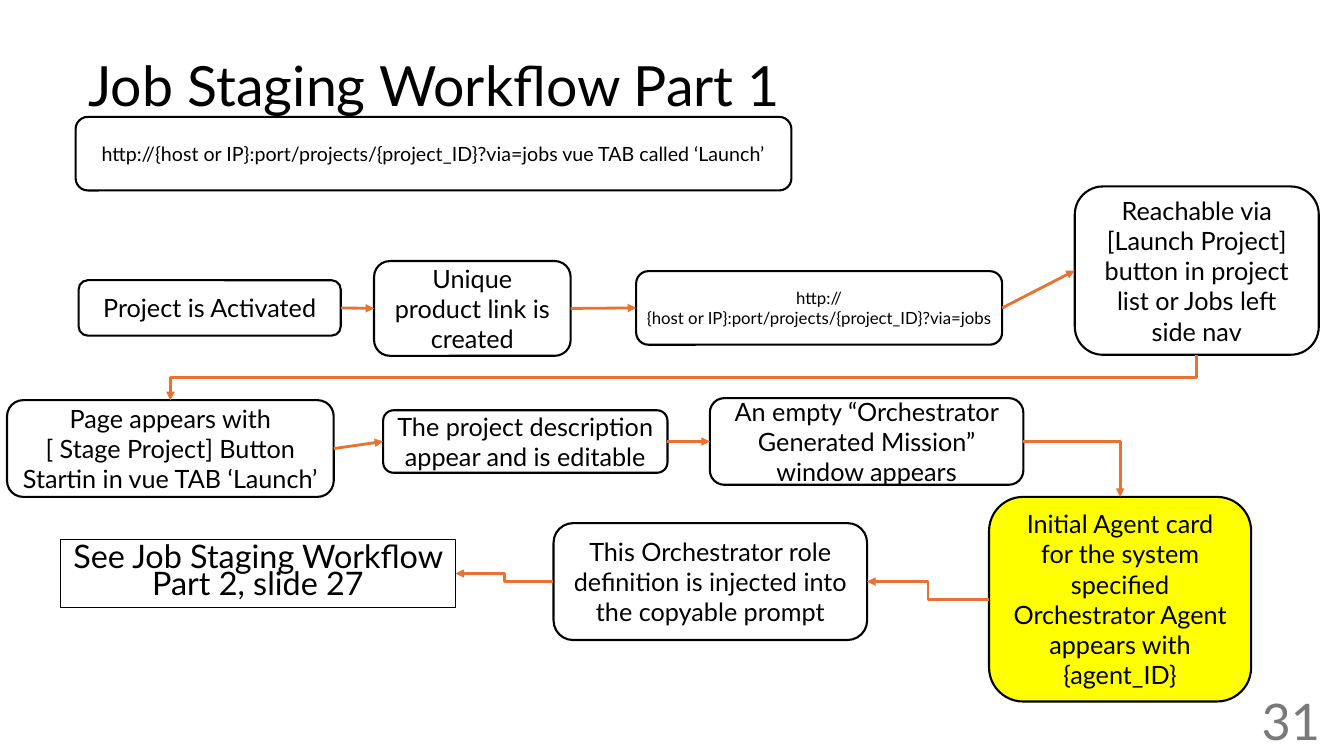
from lxml import etree
from pptx import Presentation
from pptx.dml.color import RGBColor
from pptx.enum.shapes import MSO_CONNECTOR as Link, MSO_SHAPE as Form
from pptx.enum.text import MSO_ANCHOR as Anchor, PP_ALIGN as Align
from pptx.oxml.ns import qn
from pptx.util import Inches, Pt

BLACK = RGBColor(0x00, 0x00, 0x00)
WHITE = RGBColor(0xFF, 0xFF, 0xFF)
YELLOW = RGBColor(0xFF, 0xFF, 0x00)
ORANGE = RGBColor(0xE9, 0x71, 0x32)
GREY = RGBColor(0x79, 0x79, 0x79)

deck = Presentation()
deck.slide_width, deck.slide_height = Inches(13.33), Inches(7.5)
slide = deck.slides.add_slide(deck.slide_layouts[6])
shapes = slide.shapes


def write(shape, text, size, color=BLACK, align=Align.CENTER, space=None):
    frame = shape.text_frame
    frame.text = text
    frame.word_wrap = True
    frame.vertical_anchor = Anchor.MIDDLE
    for para in frame.paragraphs:
        para.alignment = align
        para.line_spacing = space
        for run in para.runs:
            run.font.name = "Lato"
            run.font.size = Pt(size)
            run.font.color.rgb = color


def join(kind, start, side, end, goal):
    line = shapes.add_connector(kind, 0, 0, 0, 0)
    line.begin_connect(start, side)
    line.end_connect(end, goal)
    line.line.color.rgb = ORANGE
    line.line.width = Pt(2)
    stroke = line.line._get_or_add_ln()
    etree.SubElement(stroke, qn("a:tailEnd"), type="triangle")
    etree.SubElement(line._element.spPr, qn("a:effectLst"))
    return line


title = shapes.add_textbox(Inches(0.78), Inches(0.54), Inches(11.5), Inches(0.68))
write(title, "Job Staging Workflow Part 1", 39.6, align=Align.LEFT, space=0.9)

steps = [
    ("active", 0.78, 2.78, 2.6, 0.55, 18, "Project is Activated"),
    ("link", 3.71, 2.59, 1.95, 0.94, 18, "Unique product link is created"),
    ("jobs", 6.31, 2.69, 3.63, 0.73, 12,
     "http://\n{host or IP}:port/projects/{project_ID}?via=jobs"),
    ("reach", 10.66, 1.85, 2.42, 1.67, 18,
     "Reachable via [Launch Project] button in project list or Jobs left side nav"),
    ("page", 0.07, 3.97, 3.24, 0.96, 18,
     "Page appears with\n[ Stage Project] Button\nStartin in vue TAB ‘Launch’"),
    ("edit", 3.8, 4.07, 2.82, 0.62, 18, "The project description appear and is editable"),
    ("window", 7.04, 3.95, 3.11, 0.86, 18,
     "An empty “Orchestrator Generated Mission” window appears"),
    ("agent", 9.81, 4.93, 2.6, 2.03, 18,
     "Initial Agent card for the system specified Orchestrator Agent appears with {agent_ID}"),
    ("prompt", 5.49, 5.19, 3.11, 1.16, 18,
     "This Orchestrator role definition is injected into the copyable prompt"),
    ("launch", 0.75, 1.16, 7.1, 0.73, 14,
     "http://{host or IP}:port/projects/{project_ID}?via=jobs vue TAB called ‘Launch’"),
]
boxes = {}
for name, left, top, width, height, size, text in steps:
    box = shapes.add_shape(Form.ROUNDED_RECTANGLE, Inches(left), Inches(top),
                           Inches(width), Inches(height))
    box.shadow.inherit = False
    box.fill.solid()
    box.fill.fore_color.rgb = YELLOW if name == "agent" else WHITE
    box.line.color.rgb = BLACK
    box.line.width = Pt(1.5)
    write(box, text, size)
    if size < 18:
        frame = box.text_frame
        frame.word_wrap = False
        frame.margin_left = frame.margin_right = 0
        frame.margin_top = frame.margin_bottom = 0
    boxes[name] = box

note = shapes.add_shape(Form.RECTANGLE, Inches(0.6), Inches(5.35), Inches(3.92), Inches(0.68))
note.shadow.inherit = False
note.fill.background()
note.line.color.rgb = BLACK
note.line.width = Pt(0.75)
write(note, "See Job Staging Workflow Part 2, slide 27", 23.1, space=0.7)
boxes["note"] = note

for start, end in [("active", "link"), ("link", "jobs"), ("jobs", "reach"),
                   ("page", "edit"), ("edit", "window")]:
    join(Link.STRAIGHT, boxes[start], 3, boxes[end], 1)

for start, end in [("agent", "prompt"), ("prompt", "note")]:
    join(Link.ELBOW, boxes[start], 1, boxes[end], 3)

turn = join(Link.ELBOW, boxes["window"], 3, boxes["agent"], 0)
turn._element.spPr.find(qn("a:prstGeom")).set("prst", "bentConnector2")

drop = join(Link.ELBOW, boxes["reach"], 2, boxes["page"], 0)
wide, tall = drop.width, drop.height
drop.left += (wide - tall) // 2
drop.top += (tall - wide) // 2
drop.width, drop.height = tall, wide
frame = drop._element.spPr.find(qn("a:xfrm"))
frame.set("rot", "5400000")
frame.set("flipH", "0")

number = shapes.add_textbox(Inches(10.19), Inches(6.95), Inches(3), Inches(0.4))
write(number, "31", 36, GREY, Align.RIGHT)

deck.save("out.pptx")
